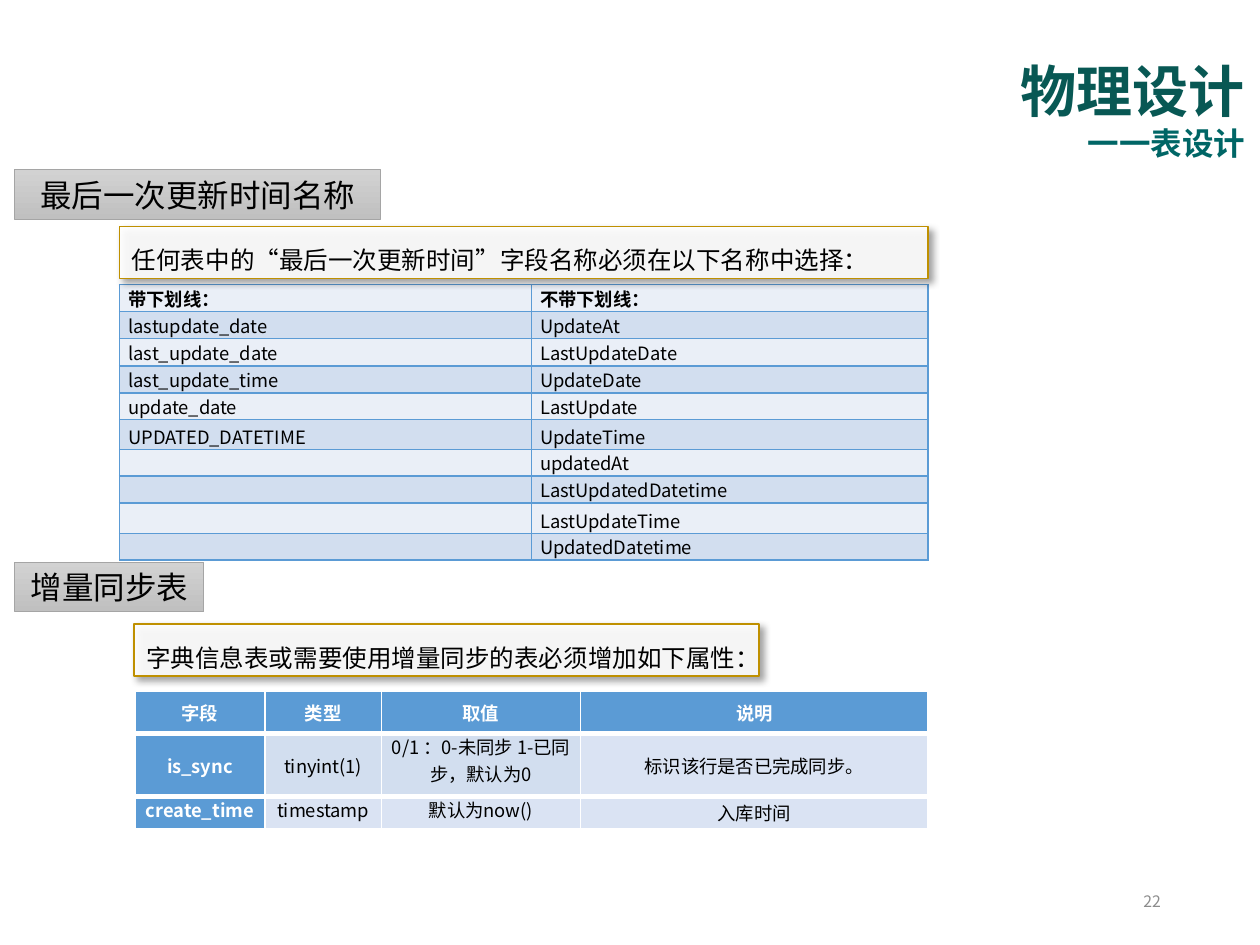
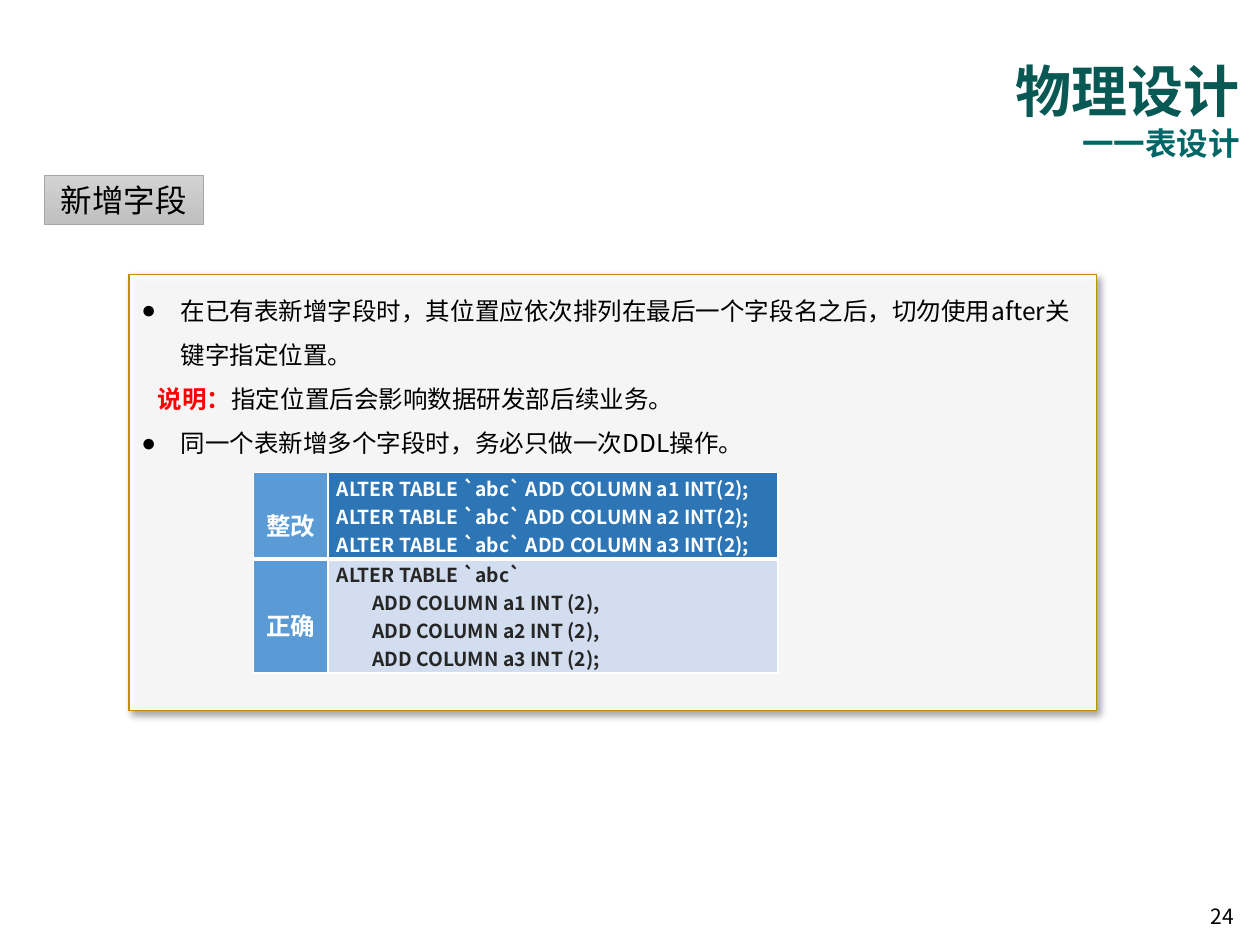
import pptx
import pptx.util
import pptx.dml.color
import pptx.enum.shapes
import pptx.enum.text
import pptx.oxml.ns
from lxml import etree

Cm, Pt = pptx.util.Cm, pptx.util.Pt
qn = pptx.oxml.ns.qn
Align = pptx.enum.text.PP_ALIGN
Anchor = pptx.enum.text.MSO_ANCHOR
BOX = pptx.enum.shapes.MSO_SHAPE.RECTANGLE

THEME = {
    "font": "Noto Sans CJK SC",
    "plain": "Arial",
    "type": {
        "title": (32, True, "085854"),
        "sub": (18, True, "006666"),
        "label": (18, False, "000000"),
        "body": (14, False, "000000"),
        "warn": (14, True, "FF0000"),
        "faint": (9, False, "8C8C8C"),
        "page": (12, False, "000000"),
        "cell": (10.5, False, "000000"),
        "strong": (10.5, True, "000000"),
        "head": (10.5, True, "FFFFFF"),
        "side": (14, True, "FFFFFF"),
        "wrong": (11, True, "FFFFFF"),
        "right": (11, True, "262626"),
    },
    "grey": ("D2D2D2", "C0C0C0"),
    "edge": "A5A5A5",
    "gold": "BF9000",
    "paper": "FFFFFF",
    "blue": "5B9BD5",
    "deep": "2E75B6",
    "mist": "D2DEEF",
    "pale": "EAEFF7",
    "haze": "DAE3F3",
}

TITLE = [("物理设计", "title"), ("一一表设计", "sub")]

NAMES = [
    ("带下划线：", "不带下划线："),
    ("lastupdate_date", "UpdateAt"),
    ("last_update_date", "LastUpdateDate"),
    ("last_update_time", "UpdateDate"),
    ("update_date", "LastUpdate"),
    ("UPDATED_DATETIME", "UpdateTime"),
    ("", "updatedAt"),
    ("", "LastUpdatedDatetime"),
    ("", "LastUpdateTime"),
    ("", "UpdatedDatetime"),
]
FIELDS = [
    ("字段", "类型", "取值", "说明"),
    ("is_sync", "tinyint(1)", "0/1 ：0-未同步 1-已同步，默认为0", "标识该行是否已完成同步。"),
    ("create_time", "timestamp", "默认为now()", "入库时间"),
]
WRONG = [f"ALTER TABLE `abc` ADD COLUMN a{n} INT(2);" for n in (1, 2, 3)]
RIGHT = ["ALTER TABLE `abc`"] + [
    f"ADD COLUMN a{n} INT (2){end}" for n, end in ((1, ","), (2, ","), (3, ";"))]
CODE = [("整改", WRONG), ("正确", RIGHT)]

RULES = [
    ([("在已有表新增字段时，其位置应依次排列在最后一个字段名之后，切勿使用after关键字指定位置。", "body")], True),
    ([("说明：", "warn"), ("指定位置后会影响数据研发部后续业务。", "body")], False),
    ([("同一个表新增多个字段时，务必只做一次DDL操作。", "body")], True),
]


def rgb(code):
    return pptx.dml.color.RGBColor.from_string(code)


def put(thing, vals):
    for key, val in vals.items():
        setattr(thing, key, val)


def write(par, text, kind, face=None):
    size, bold, tint = THEME["type"][kind]
    if not text:
        etree.SubElement(par._p, qn("a:endParaRPr"), sz=str(int(size * 100)))
        return
    run = par.add_run()
    put(run, {"text": text})
    put(run.font, {"size": Pt(size), "bold": bold, "name": face or THEME["font"]})
    run.font.color.rgb = rgb(tint)
    etree.SubElement(run._r.get_or_add_rPr(), qn("a:ea"), typeface=THEME["font"])


def indent(par, left, hang=0, mark=None):
    props = par._p.get_or_add_pPr()
    props.set("marL", str(Cm(left)))
    props.set("indent", str(-Cm(hang)))
    if mark:
        etree.SubElement(props, qn("a:buFont"), typeface=THEME["plain"])
        etree.SubElement(props, qn("a:buChar"), char=mark)


def lines(frame, rows, **form):
    for num, row in enumerate(rows):
        par = frame.paragraphs[0] if num == 0 else frame.add_paragraph()
        put(par, form)
        for text, kind in row:
            write(par, text, kind)
    return frame.paragraphs


def note(slide, place, rows, **form):
    frame = slide.shapes.add_textbox(*map(Cm, place)).text_frame
    put(frame, {"word_wrap": True, "vertical_anchor": form.pop("anchor", Anchor.MIDDLE)})
    lines(frame, rows, **form)


def block(slide, place, edge, width, anchor):
    shape = slide.shapes.add_shape(BOX, *map(Cm, place))
    shape.shadow.inherit = False
    shape.line.color.rgb = rgb(edge)
    shape.line.width = Pt(width)
    put(shape.text_frame, {"word_wrap": True, "vertical_anchor": anchor})
    return shape


def label(slide, place, text):
    shape = block(slide, place, THEME["edge"], 0.5, Anchor.MIDDLE)
    shape.fill.gradient()
    shape.fill.gradient_angle = 270
    for stop, tint, spot in zip(shape.fill.gradient_stops, THEME["grey"], (0, 1)):
        stop.color.rgb = rgb(tint)
        stop.position = spot
    lines(shape.text_frame, [[(text, "label")]], alignment=Align.CENTER)


def card(slide, place, rows, anchor=Anchor.MIDDLE):
    shape = block(slide, place, THEME["gold"], 0.75, anchor)
    shape.fill.solid()
    shape.fill.fore_color.rgb = rgb(THEME["paper"])
    props = shape._element.spPr
    tint = props.find(qn("a:solidFill"))[0]
    etree.SubElement(tint, qn("a:alpha"), val="90000")
    cast = etree.SubElement(
        props.find(qn("a:effectLst")), qn("a:outerShdw"), blurRad=str(Pt(4)),
        dist=str(Pt(3)), dir="2700000", algn="tl", rotWithShape="0")
    shade = etree.SubElement(cast, qn("a:srgbClr"), val="000000")
    etree.SubElement(shade, qn("a:alpha"), val="40000")
    pars = lines(shape.text_frame, rows, line_spacing=1.5, alignment=Align.LEFT)
    for par in pars:
        par._p.get_or_add_pPr().set("hangingPunct", "1")
    return pars


def border(cell, tint, top=1, base=1):
    props = cell._tc.get_or_add_tcPr()
    for side, width in (("L", 1), ("R", 1), ("T", top), ("B", base)):
        line = etree.SubElement(props, qn("a:ln" + side), w=str(Pt(width)))
        fill = etree.SubElement(line, qn("a:solidFill"))
        etree.SubElement(fill, qn("a:srgbClr"), val=tint)


def grid(slide, spot, wide, high, data, style):
    size = (sum(wide), sum(high))
    table = slide.shapes.add_table(
        len(high), len(wide), *map(Cm, spot + size)).table
    put(table, {"first_row": False, "horz_banding": False})
    for col, width in zip(table.columns, wide):
        col.width = Cm(width)
    for row, tall in zip(table.rows, high):
        row.height = Cm(tall)
    for r, row in enumerate(data):
        for c, text in enumerate(row):
            look = {"anchor": Anchor.MIDDLE, "align": Align.LEFT, "edge": THEME["paper"],
                    "top": 3 if r == len(data) - 1 and r else 1,
                    "base": 3 if r == 0 else 1, "space": None, "face": None}
            look.update(style(r, c))
            cell = table.cell(r, c)
            put(cell, {"margin_left": Cm(0.18), "margin_right": Cm(0.18),
                       "margin_top": 0, "margin_bottom": 0,
                       "vertical_anchor": look["anchor"]})
            border(cell, look["edge"], look["top"], look["base"])
            cell.fill.solid()
            cell.fill.fore_color.rgb = rgb(THEME[look["fill"]])
            frame = cell.text_frame
            for num, part in enumerate(text if isinstance(text, list) else [text]):
                par = frame.paragraphs[0] if num == 0 else frame.add_paragraph()
                put(par, {"alignment": look["align"], "line_spacing": look["space"]})
                if part.startswith("ADD"):
                    indent(par, 0.71)
                write(par, part, look["kind"], look["face"])


def names(r, c):
    return {"kind": "cell" if r else "strong", "fill": "mist" if r % 2 else "pale",
            "anchor": Anchor.BOTTOM, "edge": THEME["blue"], "top": 1, "base": 1}


def fields(r, c):
    head = r == 0 or c == 0
    high = (r == 2 and c < 3) or (r == 1 and c == 2)
    return {"kind": "head" if head else "cell", "align": Align.CENTER,
            "fill": "blue" if head else "mist" if r == 1 and c < 3 else "haze",
            "anchor": Anchor.TOP if high else Anchor.MIDDLE,
            "face": THEME["plain"] if r == c == 0 else None}


def code(r, c):
    if c == 0:
        return {"kind": "side", "fill": "blue", "align": Align.CENTER,
                "space": 1.5, "face": None if r else THEME["plain"]}
    return {"kind": ("wrong", "right")[r], "fill": ("deep", "mist")[r]}


def start(deck, left):
    slide = deck.slides.add_slide(deck.slide_layouts[6])
    note(slide, (left, 1.02, 20.1, 2.39), [[part] for part in TITLE],
         anchor=Anchor.TOP, alignment=Align.RIGHT)
    return slide


deck = pptx.Presentation()
put(deck, {"slide_width": Cm(25.4), "slide_height": Cm(19.05)})

slide = start(deck, 5.25)
label(slide, (0.3, 3.42, 7.37, 1), "最后一次更新时间名称")
grid(slide, (2.41, 5.74), (8.3, 8), (0.54, 0.54, 0.56, 0.54, 0.54, 0.6, 0.54, 0.54, 0.61, 0.54),
     NAMES, names)
card(slide, (2.41, 4.57, 16.3, 1.05),
     [[("任何表中的“最后一次更新时间”字段名称必须在以下名称中选择：", "body")]])
label(slide, (0.3, 11.33, 3.81, 1), "增量同步表")
card(slide, (2.7, 12.58, 12.6, 1.05),
     [[("字典信息表或需要使用增量同步的表必须增加如下属性：", "body")]])
grid(slide, (2.72, 13.93), (2.62, 2.35, 4.01, 7.01), (0.86, 1.27, 0.64), FIELDS, fields)
note(slide, (17.93, 17.65, 5.72, 1.02), [[("22", "faint")]], alignment=Align.RIGHT)

slide = start(deck, 5.14)
label(slide, (0.89, 3.53, 3.21, 1), "新增字段")
pars = card(slide, (2.6, 5.54, 19.5, 8.79), [row for row, dot in RULES], Anchor.TOP)
for par, (row, dot) in zip(pars, RULES):
    indent(par, *((0.79, 0.79, "●") if dot else (0.33,)))
grid(slide, (5.11, 9.53), (1.5, 9.07), (1.74, 2.3), CODE, code)
note(slide, (24.16, 17.96, 1.14, 1.02), [[("24", "page")]], alignment=Align.LEFT)

deck.save("out.pptx")
